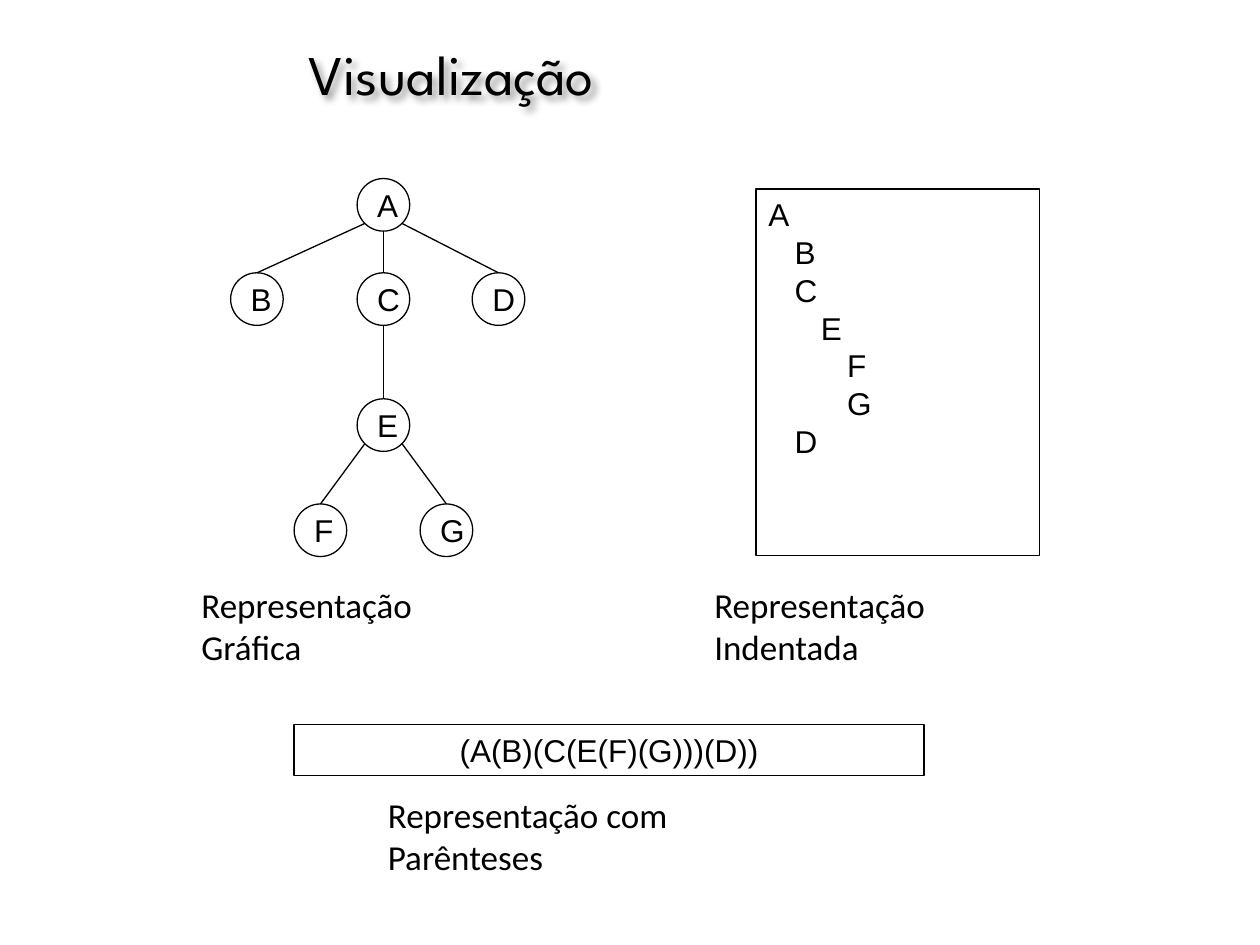
"""Builds a slide showing one tree as a graph, an indented list and brackets."""
from dataclasses import dataclass
from math import sqrt
from typing import Iterator

from lxml import etree
from pptx import Presentation
from pptx.dml.color import RGBColor
from pptx.enum.shapes import MSO_CONNECTOR, MSO_SHAPE
from pptx.enum.text import MSO_ANCHOR, PP_ALIGN
from pptx.oxml.ns import qn
from pptx.shapes.autoshape import Shape
from pptx.slide import Slide
from pptx.util import Cm, Pt

ELLIPSE, RECTANGLE = MSO_SHAPE.OVAL, MSO_SHAPE.RECTANGLE
STRAIGHT = MSO_CONNECTOR.STRAIGHT
TOP, MIDDLE = MSO_ANCHOR.TOP, MSO_ANCHOR.MIDDLE
LEFT, CENTER = PP_ALIGN.LEFT, PP_ALIGN.CENTER


@dataclass(frozen=True)
class TextStyle:
    font: str
    size: float


@dataclass(frozen=True)
class Theme:
    ink: RGBColor = RGBColor(0, 0, 0)
    line_width: float = 0.75
    title: TextStyle = TextStyle("League Spartan", 32)
    body: TextStyle = TextStyle("Arial", 18)
    caption: TextStyle = TextStyle("Calibri", 20)


@dataclass(frozen=True)
class Box:
    left: float
    top: float
    width: float
    height: float

    def lengths(self) -> tuple[Cm, Cm, Cm, Cm]:
        return Cm(self.left), Cm(self.top), Cm(self.width), Cm(self.height)


@dataclass(frozen=True)
class Node:
    label: str
    x: float
    y: float
    children: tuple["Node", ...] = ()


@dataclass(frozen=True)
class Caption:
    text: str
    box: Box


THEME = Theme()
DIAMETER = 1.06
INDENT = 0.53
OUTLINE_PITCH = 21.6
OUTLINE_BOX = Box(15.24, 3.81, 5.72, 7.39)
BRACKET_BOX = Box(5.93, 14.6, 12.7, 1.03)
TITLE_BOX = Box(0, 0.41, 18.2, 2.13)

LEVELS = (4.13, 6.03, 8.57, 10.69)
BRANCH = Node("E", 7.73, LEVELS[2], (Node("F", 6.46, LEVELS[3]), Node("G", 9, LEVELS[3])))
TREE = Node("A", 7.73, LEVELS[0], (
    Node("B", 5.18, LEVELS[1]),
    Node("C", 7.73, LEVELS[1], (BRANCH,)),
    Node("D", 10.05, LEVELS[1]),
))
CAPTIONS = (
    Caption("Representação Gráfica", Box(3.81, 11.64, 6.7, 1.1)),
    Caption("Representação Indentada", Box(14.15, 11.64, 7.5, 1.1)),
    Caption("Representação com Parênteses", Box(7.57, 15.88, 9.1, 1.1)),
)


def walk(node: Node, depth: int = 0) -> Iterator[tuple[Node, int]]:
    yield node, depth
    for child in node.children:
        yield from walk(child, depth + 1)


def bracketed(node: Node) -> str:
    return f"({node.label}{''.join(map(bracketed, node.children))})"


def write_lines(shape: Shape, lines: list[tuple[str, int]], style: TextStyle,
                alignment: PP_ALIGN = LEFT, anchor: MSO_ANCHOR = TOP,
                wrap: bool = True, pitch: float | None = None) -> None:
    frame = shape.text_frame
    frame.word_wrap = wrap
    frame.vertical_anchor = anchor
    for index, (text, depth) in enumerate(lines):
        paragraph = frame.add_paragraph() if index else frame.paragraphs[0]
        paragraph.alignment = alignment
        if pitch:
            paragraph.line_spacing = Pt(pitch)
        if depth:
            paragraph._p.get_or_add_pPr().set("marL", str(Cm(depth * INDENT)))
        run = paragraph.add_run()
        run.text = text
        run.font.name = style.font
        run.font.size = Pt(style.size)
        run.font.color.rgb = THEME.ink


def add_outlined(slide: Slide, kind: MSO_SHAPE, box: Box) -> Shape:
    shape = slide.shapes.add_shape(kind, *box.lengths())
    shape.shadow.inherit = False
    shape.fill.background()
    shape.line.color.rgb = THEME.ink
    shape.line.width = Pt(THEME.line_width)
    return shape


def add_edge(slide: Slide, parent: Node, child: Node) -> None:
    radius = DIAMETER / 2
    side = (child.x > parent.x) - (child.x < parent.x)
    reach = radius / sqrt(2) if side else radius
    edge = slide.shapes.add_connector(
        STRAIGHT, Cm(parent.x + side * reach), Cm(parent.y + reach),
        Cm(child.x), Cm(child.y - radius))
    edge.line.color.rgb = THEME.ink
    edge.line.width = Pt(THEME.line_width)
    etree.SubElement(edge._element.spPr, qn("a:effectLst"))


def add_tree(slide: Slide, root: Node) -> None:
    for node, _ in walk(root):
        box = Box(node.x - DIAMETER / 2, node.y - DIAMETER / 2, DIAMETER, DIAMETER)
        circle = add_outlined(slide, ELLIPSE, box)
        write_lines(circle, [(node.label, 0)], THEME.body, anchor=MIDDLE, wrap=False)
        for child in node.children:
            add_edge(slide, node, child)


def add_title(slide: Slide, text: str) -> None:
    title = slide.shapes.add_textbox(*TITLE_BOX.lengths())
    write_lines(title, [(text, 0)], THEME.title, CENTER, MIDDLE)
    effects = etree.SubElement(title._element.spPr, qn("a:effectLst"))
    shadow = etree.SubElement(effects, qn("a:outerShdw"), blurRad=str(Pt(4)),
                              dist=str(Pt(3)), dir="2700000", algn="tl")
    color = etree.SubElement(shadow, qn("a:srgbClr"), val=str(THEME.ink))
    etree.SubElement(color, qn("a:alpha"), val="40000")


def main() -> None:
    presentation = Presentation()
    presentation.slide_width, presentation.slide_height = Cm(25.4), Cm(19.05)
    slide = presentation.slides.add_slide(presentation.slide_layouts[6])
    add_title(slide, "Visualização")
    add_tree(slide, TREE)
    outline = add_outlined(slide, RECTANGLE, OUTLINE_BOX)
    write_lines(outline, [(node.label, depth) for node, depth in walk(TREE)],
                THEME.body, pitch=OUTLINE_PITCH)
    brackets = add_outlined(slide, RECTANGLE, BRACKET_BOX)
    write_lines(brackets, [(bracketed(TREE), 0)], THEME.body, CENTER, MIDDLE)
    for caption in CAPTIONS:
        text_box = slide.shapes.add_textbox(*caption.box.lengths())
        write_lines(text_box, [(caption.text, 0)], THEME.caption)
    presentation.save("out.pptx")


if __name__ == "__main__":
    main()
